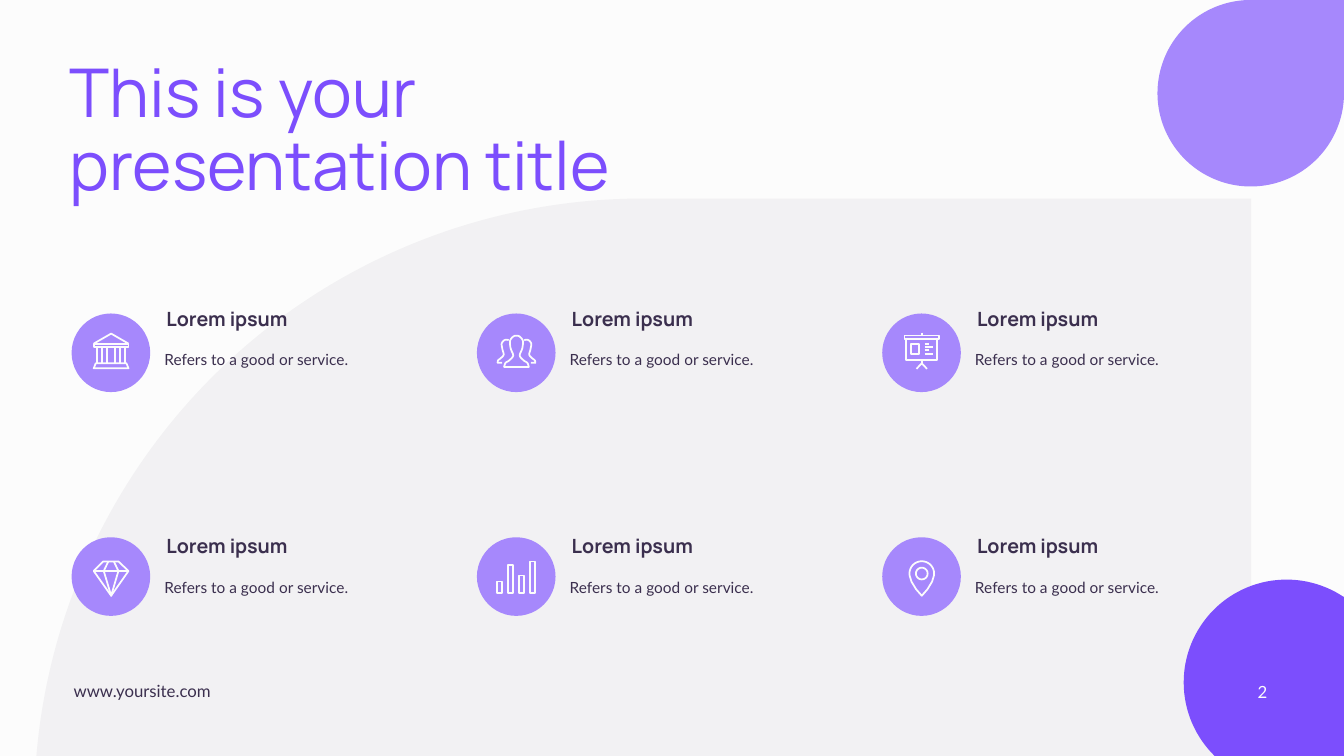
from math import cos, radians, sin

from lxml import etree
from pptx import Presentation
from pptx.dml.color import RGBColor
from pptx.enum.shapes import MSO_SHAPE
from pptx.enum.text import MSO_ANCHOR, MSO_AUTO_SIZE, PP_ALIGN
from pptx.oxml.ns import qn
from pptx.util import Inches, Pt

OVAL, TEARDROP = MSO_SHAPE.OVAL, MSO_SHAPE.TEAR
TOP, MIDDLE = MSO_ANCHOR.TOP, MSO_ANCHOR.MIDDLE
LEFT, RIGHT = PP_ALIGN.LEFT, PP_ALIGN.RIGHT
NO_FIT = MSO_AUTO_SIZE.NONE
COLORS = {"bg": "FCFCFC", "violet": "7C4EFD", "lilac": "A688FC", "ink": "3B2F4E"}
HEADING, BODY = "Manrope", "Lato"
W, H = 13.33, 7.5
COLS, ROWS = 3, 2
COL_STEP, ROW_STEP, CIRCLE_STEP = 4.02, 2.26, 2.22
GRID_LEFT, GRID_TOP, CIRCLE = 0.71, 3.04, 0.78
ICON_MID = 39.3


def rgb(name):
    """Look up a palette colour."""
    return RGBColor.from_string(COLORS[name])


def rect(left, top, right, bottom):
    """Return the closed outline of a rectangle."""
    return [(left, top), (right, top), (right, bottom), (left, bottom), (left, top)]


def arc(cx, cy, radius, start, end, steps=60):
    """Return points along a clockwise arc given in degrees."""
    angles = [radians(start + (end - start) * i / steps) for i in range(steps + 1)]
    return [(cx + radius * cos(a), cy + radius * sin(a)) for a in angles]


def mirror(points):
    """Reflect points in the icon's vertical axis, in reverse order."""
    return [(2 * ICON_MID - x, y) for x, y in reversed(points)]


def smooth(points, steps=6):
    """Return a Catmull-Rom curve through the points."""
    ends = [points[0], *points, points[-1]]
    curve = []
    for a, b, c, d in zip(ends, ends[1:], ends[2:], ends[3:]):
        for t in (i / steps for i in range(steps)):
            curve.append(tuple(
                q + t * (r - p) / 2 + t * t * (2 * p - 5 * q + 4 * r - s) / 2
                + t ** 3 * (3 * q - p - 3 * r + s) / 2
                for p, q, r, s in zip(a, b, c, d)))
    return curve + [points[-1]]


def bank_icon():
    """Return the strokes of a columned building."""
    columns = [[(x, 33.5), (x, 49.5)] for x in (25, 30, 35, 43, 48, 53)]
    roof = [(22, 30), (ICON_MID, 20), (56.5, 30)]
    base = [(24, 49.5), (54.5, 49.5), (56.5, 54.5), (22, 54.5), (24, 49.5)]
    return [roof, rect(22, 30, 56.5, 33.5), base, *columns]


def people_icon():
    """Return the strokes of a person with one more on each side."""
    half = [(27, 53), (28.5, 49), (32, 46.7), (36, 42), (34.2, 36.5), (33.2, 33),
            (33, 27), (36, 23), (ICON_MID, 22)]
    side = smooth([(47, 26.5), (49.5, 26), (52, 27), (54, 30), (53.5, 34), (53, 36.5),
                   (52, 41), (55, 44.5), (57.5, 46.5), (58, 49)]) + [(53.5, 49)]
    return [smooth(half + mirror(half)[1:]) + [half[0]], side, mirror(side)]


def board_icon():
    """Return the strokes of a presentation board."""
    text = [[(42, y), (x, y)] for y, x in ((30, 46.5), (33, 50), (36.5, 46), (40, 50))]
    tripod = [(34, 55), (ICON_MID, 49.5), (44.5, 55)]
    posts = [[(ICON_MID, 19), (ICON_MID, 22)], [(ICON_MID, 46.5), (ICON_MID, 49.5)]]
    return [rect(22, 22, 56.5, 25), rect(24, 25, 54.5, 46.5),
            rect(28.5, 30, 36.5, 40), tripod, *posts, *text]


def gem_icon():
    """Return the strokes of a cut gem."""
    tip = (ICON_MID, 54)
    outline = [(31.5, 20), (46.5, 20), (56.5, 29.5), tip, (22, 29.5), (31.5, 20)]
    facets = [(36.5, 20), (32, 29.5), tip, (46.5, 29.5), (42, 20)]
    return [outline, [(22, 29.5), (56.5, 29.5)], facets]


def bars_icon():
    """Return the strokes of four bars."""
    return [rect(20 + 11 * i, top, 25 + 11 * i, 51)
            for i, top in enumerate((40, 23.5, 34, 20))]


def pin_icon():
    """Return the strokes of a map pin."""
    edge = [(49.5, 40), (45, 47.5), (ICON_MID, 54)]
    head = arc(ICON_MID, 32, 12.2, 170, 370)
    return [head + edge + mirror(edge)[1:] + head[:1], arc(ICON_MID, 32, 5.8, 0, 360)]


ICONS = [bank_icon, people_icon, board_icon, gem_icon, bars_icon, pin_icon]


def add_outline(s, strokes, x=0, y=0, unit=1.0):
    """Add one freeform made of the given strokes, offset by x and y."""
    strokes = [[(Inches(px * unit), Inches(py * unit)) for px, py in pts] for pts in strokes]
    builder = s.shapes.build_freeform(*strokes[0][0])
    builder.add_line_segments(strokes[0][1:], close=False)
    for pts in strokes[1:]:
        builder.move_to(*pts[0])
        builder.add_line_segments(pts[1:], close=False)
    sp = builder.convert_to_shape(Inches(x), Inches(y))
    sp.shadow.inherit = False
    return sp


def paint(sp, color):
    """Give a shape a plain fill without a line."""
    sp.fill.solid()
    sp.fill.fore_color.rgb = rgb(color)
    sp.line.fill.background()


def add_shape(s, kind, x, y, size, color):
    """Add a flat preset shape of equal width and height."""
    sp = s.shapes.add_shape(kind, Inches(x), Inches(y), Inches(size), Inches(size))
    sp.shadow.inherit = False
    paint(sp, color)
    return sp


def set_text(sp, text, font, size, color, bold=False, align=LEFT, spacing=None,
             insets=(0, 0), anchor=TOP):
    """Write and format the text of a shape."""
    tf = sp.text_frame
    tf.text = text
    tf.word_wrap, tf.auto_size, tf.vertical_anchor = True, NO_FIT, anchor
    tf.margin_left = tf.margin_right = Inches(insets[0])
    tf.margin_top = tf.margin_bottom = Inches(insets[1])
    for p in tf.paragraphs:
        p.alignment, p.line_spacing = align, spacing
        for r in p.runs:
            r.font.name, r.font.size, r.font.bold = font, Pt(size), bold
            r.font.color.rgb = rgb(color)


def add_text(s, x, y, w, h, *args, **options):
    """Add a formatted text box."""
    sp = s.shapes.add_textbox(Inches(x), Inches(y), Inches(w), Inches(h))
    set_text(sp, *args, **options)


def add_backdrop(s):
    """Draw the background and its decorative shapes."""
    s.background.fill.solid()
    s.background.fill.fore_color.rgb = rgb("bg")
    add_shape(s, TEARDROP, W - 1.85, 0, 1.85, "lilac")
    sp = add_shape(s, TEARDROP, 0.34, 1.97, 12.07, "ink")
    color = next(sp.fill._xPr.iter(qn("a:srgbClr")))
    etree.SubElement(color, qn("a:alpha"), val="5000")
    corner = arc(12.76, 6.77, 1.02, 134.3, 304) + [(W, 5.92), (W, H)]
    paint(add_outline(s, [corner + corner[:1]]), "violet")


def add_title(s, x, y, w, h):
    """Place the title."""
    sp = s.shapes.title
    sp.left, sp.top, sp.width, sp.height = (Inches(v) for v in (x, y, w, h))
    set_text(sp, "This is your\npresentation title", HEADING, 48, "violet", spacing=0.9)


def add_feature(s, x, y, circle_y, icon):
    """Draw an icon in a circle with its heading and description."""
    add_text(s, x + 0.83, y + 0.35, 2.72, 0.29, "Refers to a good or service.",
             BODY, 11, "ink", spacing=Pt(16.1), insets=(0.09, 0.04))
    add_text(s, x + 0.94, y, 2.98, 0.33, "Lorem ipsum", HEADING, 14, "ink", bold=True)
    add_shape(s, OVAL, x, circle_y, CIRCLE, "lilac")
    sp = add_outline(s, icon(), x, y + 0.07, 0.01)
    sp.fill.background()
    sp.line.color.rgb = rgb("bg")
    sp.line.width = Pt(1.25)


def add_footer(s):
    """Write the site address and the slide number."""
    add_text(s, 0.73, 6.75, 2.71, 0.2, "www.yoursite.com", BODY, 12, "ink")
    add_text(s, 9.67, 6.66, 3, 0.4, "2", BODY, 12, "bg", align=RIGHT,
             insets=(0.1, 0.05), anchor=MIDDLE)


def main():
    """Build the slide and save it."""
    prs = Presentation()
    prs.slide_width, prs.slide_height = Inches(W), Inches(H)
    s = prs.slides.add_slide(prs.slide_layouts[5])
    add_backdrop(s)
    add_title(s, 0.69, 0.59, 10.7, 1.58)
    for i, icon in enumerate(ICONS):
        row, col = divmod(i, COLS)
        add_feature(s, GRID_LEFT + col * COL_STEP, GRID_TOP + row * ROW_STEP,
                    GRID_TOP + 0.07 + row * CIRCLE_STEP, icon)
    add_footer(s)
    prs.save("out.pptx")


if __name__ == "__main__":
    main()
